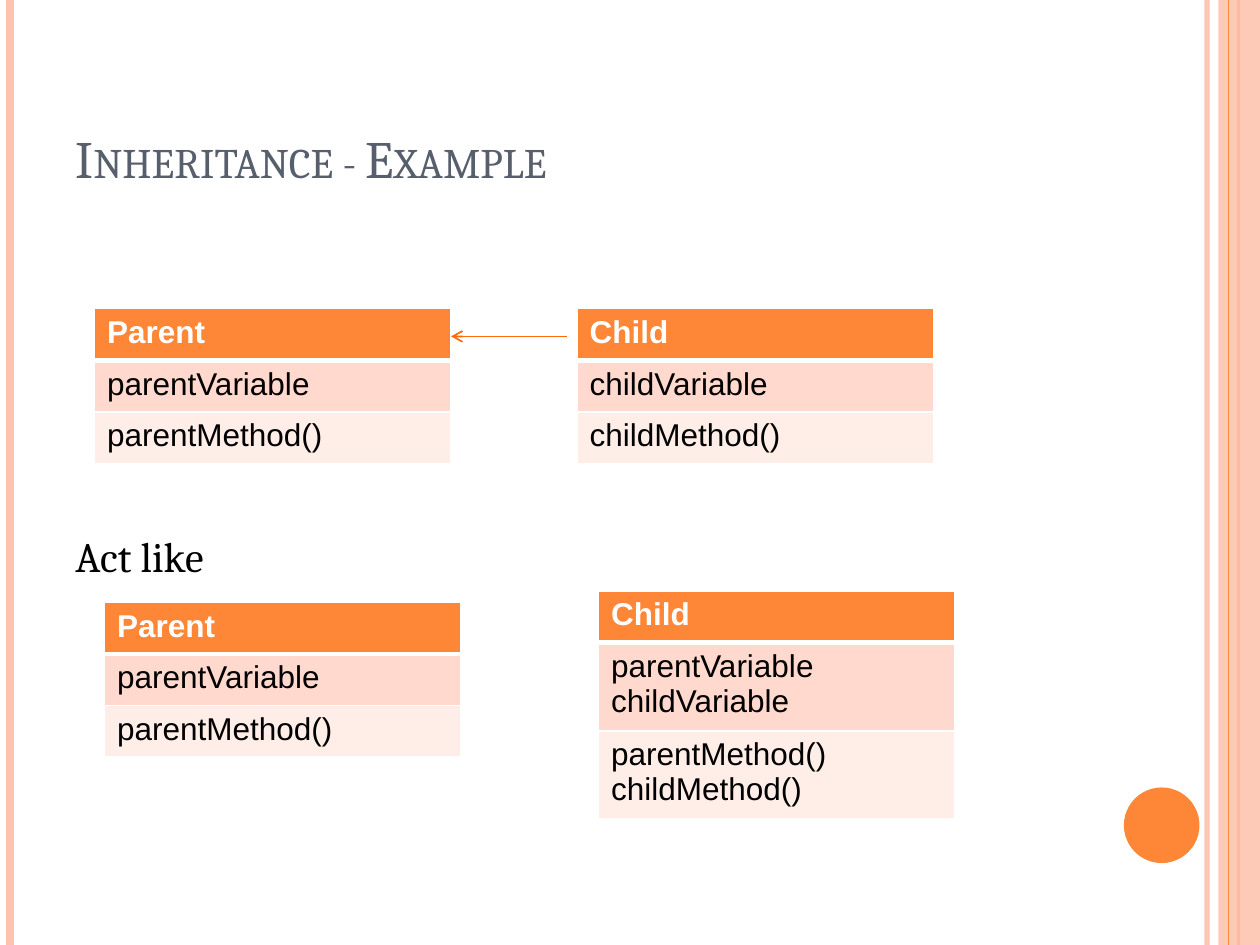
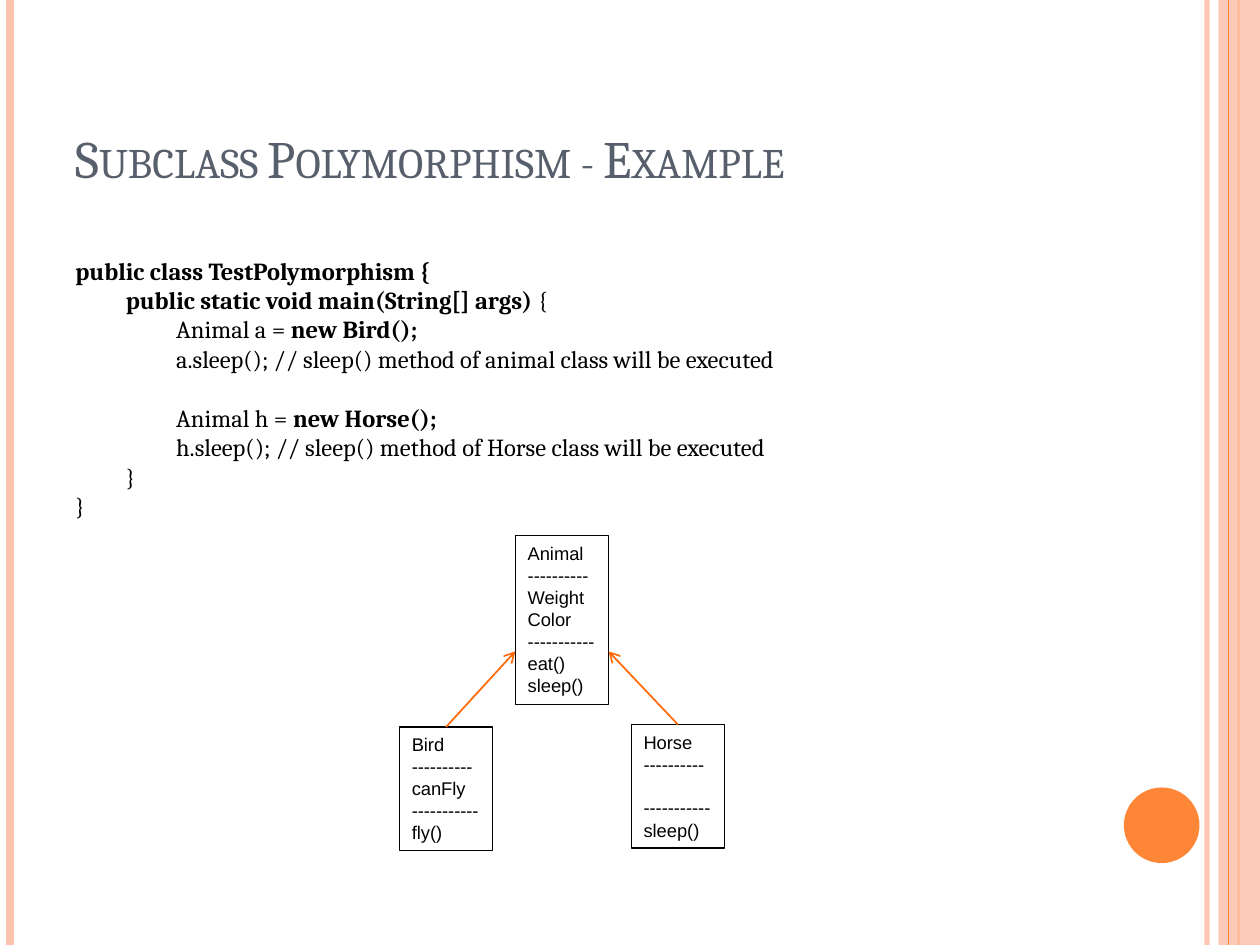
from lxml import etree
from pptx import Presentation
from pptx import util as u
from pptx.dml.color import RGBColor
from pptx.enum import shapes, text
from pptx.oxml import ns

# Shared colours, fonts and sizes
ORANGE = RGBColor(0xFE, 0x86, 0x37)
PEACH = RGBColor(0xFE, 0xC3, 0xAE)
ARROW = RGBColor(0xFF, 0x6B, 0x0A)
SLATE = RGBColor(0x57, 0x5F, 0x6D)
ROW_DARK = RGBColor(0xFF, 0xD9, 0xCE)
ROW_LIGHT = RGBColor(0xFF, 0xED, 0xE8)
BLACK = RGBColor(0, 0, 0)
WHITE = RGBColor(0xFF, 0xFF, 0xFF)
SERIF, SANS = "Cambria", "Arial"

WIDTH, HEIGHT = 10, 7.5
LEFT, TEXT_WIDTH = 0.5, 8.17     # text column of every slide
ROW, LINE = 0.41, 0.24           # table row, extra line in a row
TABLE_WIDTH = 2.83
BOX_WIDTH, BOX_LINE = 0.74, 0.18  # class boxes of the diagram
CODE_SIZE, CODE_INDENT = 14, 0.4


def inches(*lengths):
    return [u.Inches(n) for n in lengths]


def sub(parent, tag, **attributes):
    return etree.SubElement(parent, ns.qn(tag), attributes)


def set_alpha(element, percent):
    for colour in element.spPr.iter(ns.qn("a:srgbClr")):
        sub(colour, "a:alpha", val=str(percent * 1000))


def style(p, size, name, colour, bold=None):
    p.font.size, p.font.name = u.Pt(size), name
    p.font.color.rgb = colour
    if bold is not None:
        p.font.bold = bold


def paragraphs(tf, lines):
    """Write one paragraph per line and yield each with its line."""
    for i, line in enumerate(lines):
        p = tf.add_paragraph() if i else tf.paragraphs[0]
        yield p, line


def add_line(parent, start, end, colour, width, arrow=False):
    c = parent.add_connector(shapes.MSO_CONNECTOR.STRAIGHT,
                             *inches(*start, *end))
    c.line.color.rgb, c.line.width = colour, u.Pt(width)
    spPr = c._element.spPr
    if arrow:
        sub(spPr.find(ns.qn("a:ln")), "a:tailEnd", type="arrow")
    sub(spPr, "a:effectLst")
    return c


def add_shape(parent, kind, box, fill=None, line=None):
    sp = parent.add_shape(kind, *inches(*box))
    sp.shadow.inherit = False
    if fill is None:
        sp.fill.background()
    else:
        sp.fill.solid()
        sp.fill.fore_color.rgb = fill
    if line is None:
        sp.line.fill.background()
    else:
        sp.line.color.rgb, sp.line.width = line, u.Pt(0.75)
    return sp


def add_text(s, top, height):
    tf = s.shapes.add_textbox(*inches(LEFT, top, TEXT_WIDTH, height)).text_frame
    tf.word_wrap = True
    return tf


def add_rule(s, x, colour, width):
    return add_line(s.shapes, (x, 0), (x, HEIGHT), colour, width)


def new_slide(prs, title):
    """Blank slide with the side bands, the disc and the title."""
    s = prs.slides.add_slide(prs.slide_layouts[6])
    set_alpha(add_rule(s, 9.58, PEACH, 3)._element, 93)
    add_rule(s, 0.08, PEACH, 4.5)
    add_rule(s, 9.83, ORANGE, 1.5)
    band = add_shape(s.shapes, shapes.MSO_SHAPE.RECTANGLE,
                     (9.67, 0, 0.33, HEIGHT), PEACH)
    set_alpha(band._element, 87)
    add_rule(s, 9.75, ORANGE, 0.75)
    add_shape(s.shapes, shapes.MSO_SHAPE.OVAL, (8.92, 6.25, 0.6, 0.6), ORANGE)

    tf = add_text(s, 0.3, 1.25)
    tf.vertical_anchor = text.MSO_ANCHOR.BOTTOM
    p = tf.paragraphs[0]
    r = p.add_run()
    r.text = title
    style(p, 30, SERIF, SLATE)
    r._r.get_or_add_rPr().set("cap", "small")
    return s


def set_borders(cell, top, bottom):
    tcPr = cell._tc.get_or_add_tcPr()
    for side, width in (("L", 1), ("R", 1), ("T", top), ("B", bottom)):
        ln = sub(tcPr, "a:ln" + side, w=str(u.Pt(width)))
        sub(sub(ln, "a:solidFill"), "a:srgbClr", val=str(WHITE))


def add_class_table(s, x, y, name, variables, methods):
    rows = [[name], variables, methods]
    heights = [ROW + LINE * (len(lines) - 1) for lines in rows]
    table = s.shapes.add_table(
        3, 1, *inches(x, y, TABLE_WIDTH, sum(heights))).table
    for i, (lines, fill) in enumerate(zip(rows, (ORANGE, ROW_DARK, ROW_LIGHT))):
        table.rows[i].height = u.Inches(heights[i])
        cell = table.cell(i, 0)
        set_borders(cell, 3 if i == 1 else 1, 3 if i == 0 else 1)
        cell.fill.solid()
        cell.fill.fore_color.rgb = fill
        for p, line in paragraphs(cell.text_frame, lines):
            p.text = line
            style(p, 18, SANS, BLACK if i else WHITE, i == 0)


def add_code(s, top, lines):
    """Lines are (level, plain or bold runs, blank line before)."""
    for p, (level, runs, gap) in paragraphs(add_text(s, top, 2.5), lines):
        style(p, CODE_SIZE, SERIF, BLACK)
        p._p.get_or_add_pPr().set("marL", str(u.Inches(level * CODE_INDENT)))
        if gap:
            p.space_before = u.Pt(CODE_SIZE * 1.2)
        for words, bold in runs:
            r = p.add_run()
            r.text, r.font.bold = words, bold


def add_class_box(parent, x, y, name, variables, methods):
    """Class box; an empty list of variables leaves one line free."""
    lines = [name + "\v" + "-" * 10, *variables, "-" * 11, *methods]
    count = len(lines) + 1 + (not variables)
    sp = add_shape(parent, shapes.MSO_SHAPE.RECTANGLE,
                   (x, y, BOX_WIDTH, count * BOX_LINE + 0.08), line=BLACK)
    tf = sp.text_frame
    tf.word_wrap = False
    tf.vertical_anchor = text.MSO_ANCHOR.TOP
    for p, line in paragraphs(tf, lines):
        p.text = line
        p.alignment = text.PP_ALIGN.LEFT
        style(p, 10.5, SANS, BLACK)
        if line == "-" * 11 and not variables:
            p.space_before = u.Pt(12.5)


def inheritance_slide(prs):
    s = new_slide(prs, "Inheritance - Example")
    p = add_text(s, 4.16, 0.5).paragraphs[0]
    p.text = "Act like"
    style(p, 24, SERIF, BLACK)

    parent = "Parent", ["parentVariable"], ["parentMethod()"]
    add_class_table(s, 0.75, 2.45, *parent)
    add_class_table(s, 4.58, 2.45, "Child", ["childVariable"], ["childMethod()"])
    add_line(s.shapes, (4.5, 2.67), (0.75 + TABLE_WIDTH, 2.67), ARROW, 1, True)
    add_class_table(s, 0.83, 4.78, *parent)
    add_class_table(s, 4.75, 4.69, "Child",
                    ["parentVariable", "childVariable"],
                    ["parentMethod()", "childMethod()"])


def polymorphism_slide(prs):
    s = new_slide(prs, "Subclass Polymorphism - Example")
    add_code(s, 1.98, [
        (0, [("public class TestPolymorphism {", True)], False),
        (1, [("public static void main(String[] args) ", True),
             ("{", False)], False),
        (2, [("Animal a = ", False), ("new Bird();", True)], False),
        (2, [("a.sleep(); // sleep() method of animal class will be executed",
              False)], False),
        (2, [("Animal h = ", False), ("new Horse();", True)], True),
        (2, [("h.sleep(); // sleep() method of Horse class will be executed",
              False)], False),
        (1, [("}", False)], False),
        (0, [("}", False)], False),
    ])

    # Class diagram: two subclasses point at the sides of their parent
    diagram = s.shapes.add_group_shape().shapes
    animal_x, arrow_y = 4.09, 5.17
    add_class_box(diagram, animal_x, 4.25, "Animal",
                  ["Weight", "Color"], ["eat()", "sleep()"])
    for x, y, side, members in (
            (3.17, 5.77, animal_x, ("Bird", ["canFly"], ["fly()"])),
            (5.01, 5.75, animal_x + BOX_WIDTH, ("Horse", [], ["sleep()"]))):
        add_class_box(diagram, x, y, *members)
        add_line(diagram, (x + BOX_WIDTH / 2, y), (side, arrow_y),
                 ARROW, 1, True)


def main():
    prs = Presentation()
    prs.slide_width, prs.slide_height = inches(WIDTH, HEIGHT)
    inheritance_slide(prs)
    polymorphism_slide(prs)
    prs.save("out.pptx")


main()
